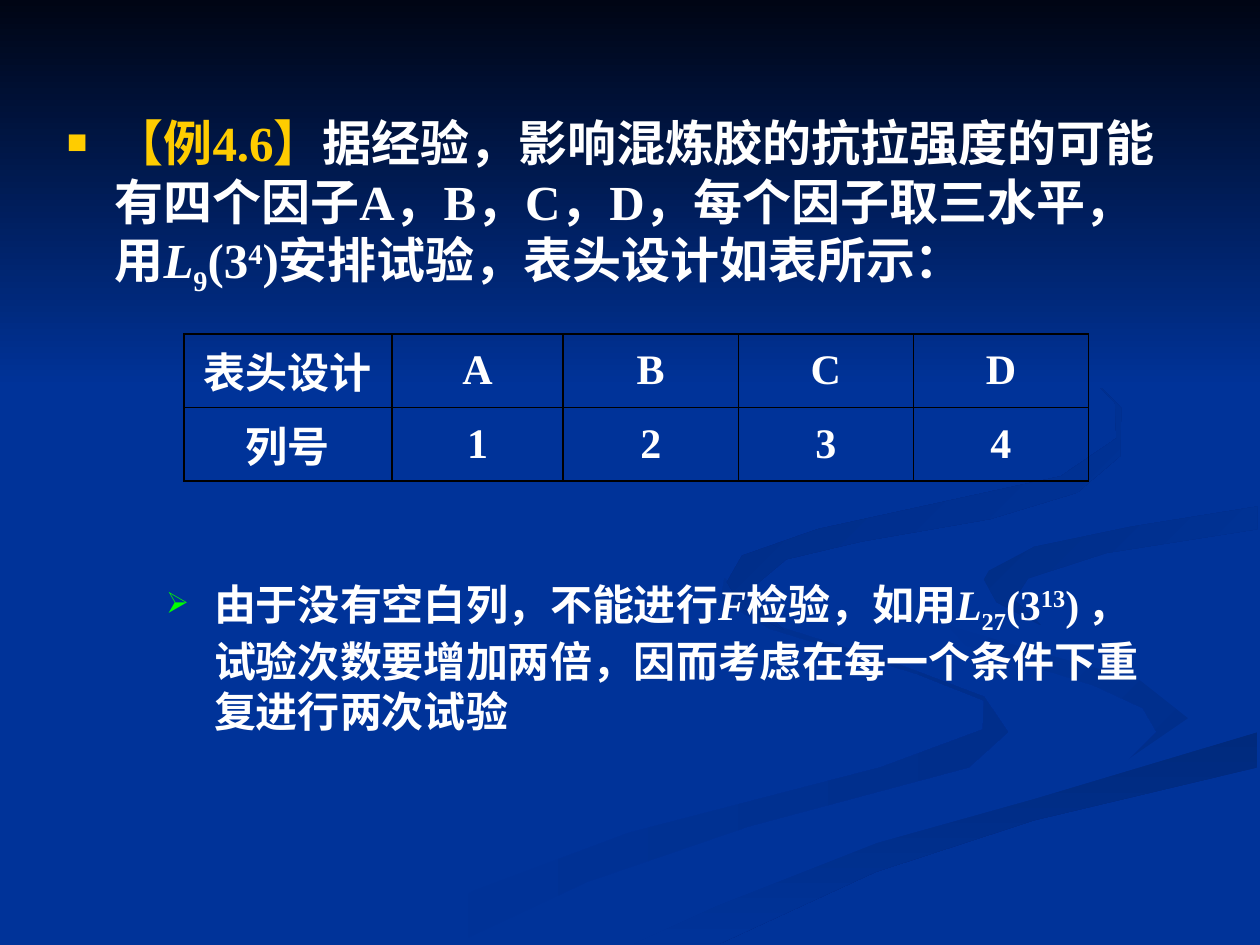
import pptx
import pptx.util
import pptx.dml.color
import pptx.enum.shapes
import pptx.enum.text
import pptx.oxml
import pptx.oxml.ns
import lxml.etree

Inches, Pt = pptx.util.Inches, pptx.util.Pt
hex_color = pptx.dml.color.RGBColor.from_string
qn = pptx.oxml.ns.qn
BLUE, WHITE, GOLD = "003399", "FFFFFF", "FFCC00"


def write_spans(para, spans, size):
    """Fill a paragraph from (text, format values) pairs."""
    for text, changes in spans:
        span = para.add_run()
        span.text = text
        values = {"name": "Times New Roman", "size": size, "bold": True, "color": WHITE, **changes}
        span.font.fill.solid()
        span.font.fill.fore_color.rgb = hex_color(values.pop("color"))
        baseline = values.pop("baseline", None)
        for name, value in values.items():
            setattr(span.font, name, Pt(value) if name == "size" else value)
        properties = span.font._element
        properties.set("lang", "zh-CN")
        if baseline:
            properties.set("baseline", str(baseline * 1000))


def write_bullet(box, place, char, color, spans, size):
    """Place a box and write its single bulleted paragraph."""
    for name, value in zip(("left", "top", "width", "height"), place):
        setattr(box, name, Inches(value))
    frame = box.text_frame
    frame.word_wrap = True
    frame.auto_size = pptx.enum.text.MSO_AUTO_SIZE.NONE
    frame.vertical_anchor = pptx.enum.text.MSO_ANCHOR.TOP
    para = frame.paragraphs[0]
    properties = para._p.get_or_add_pPr()
    properties.set("marL", str(Inches(0.38)))
    properties.set("indent", str(-Inches(0.38)))
    bullet_color = lxml.etree.SubElement(properties, qn("a:buClr"))
    lxml.etree.SubElement(bullet_color, qn("a:srgbClr"), val=color)
    lxml.etree.SubElement(properties, qn("a:buSzPct"), val="70000")
    lxml.etree.SubElement(properties, qn("a:buChar"), char=char)
    para.space_before = Pt(0)
    write_spans(para, spans, size)


deck = pptx.Presentation()
deck.slide_width, deck.slide_height = Inches(10), Inches(7.5)
page = deck.slides.add_slide(deck.slide_layouts[1])
title = page.shapes.title
title._element.getparent().remove(title._element)
page.background.fill.solid()
page.background.fill.fore_color.rgb = hex_color(BLUE)

# Edges shared by neighbouring ribbons, in hundredths of an inch
hook_edge = [(724, 464), (733, 483), (758, 498), (830, 519), (905, 540), (943, 570)]
sweep_edge = [(503, 749), (569, 719), (696, 669), (821, 634), (998, 581)]
crest_edge = [(998, 402), (898, 418), (821, 434), (785, 453), (781, 460)]

# Ribbon outlines
tail = [(781, 553), (715, 528), (614, 496), (575, 459), (572, 476), (611, 499), (728, 535),
        (781, 556), (780, 579), (699, 609), (499, 661), (376, 707), (300, 749), (361, 749),
        (466, 700), (594, 656), (769, 609), (800, 581)]
hook = hook_edge + [(941, 581), (894, 605), (918, 581), (907, 562), (868, 544), (766, 512)]
sweep = sweep_edge + [(998, 609), (821, 651), (695, 692), (571, 749)]
stream = (hook_edge + [(892, 605), (780, 634), (663, 668), (573, 703), (477, 749)]
          + sweep_edge + [(999, 538), (904, 519), (817, 492)]
          + crest_edge[::-1] + [(999, 387), (920, 401), (788, 422), (732, 446)])
crest = crest_edge + [(791, 478), (826, 496), (805, 476), (816, 459), (878, 439), (998, 420)]
curl = [(683, 430), (786, 412), (855, 391), (889, 362), (890, 324), (843, 275), (762, 233),
        (846, 279), (885, 320), (886, 348), (842, 378), (649, 420), (589, 441), (577, 462),
        (590, 484), (622, 500), (593, 470), (624, 444)]

# Ribbons and top band, with start colour, end colour and clockwise angle
backdrop = []
for points, *shading in [
        (tail, BLUE, "002E8B", 0), (hook, BLUE, "002E8B", 45), (sweep, "002A7D", BLUE, 90),
        (stream, BLUE, BLUE, 0), (crest, "002D86", BLUE, 45), (curl, "002B82", BLUE, 45)]:
    outline = page.shapes.build_freeform(*points[0], scale=Inches(0.01))
    outline.add_line_segments(points[1:], close=True)
    backdrop.append((outline.convert_to_shape(), *shading))
band = page.shapes.add_shape(
    pptx.enum.shapes.MSO_SHAPE.RECTANGLE, 0, 0, deck.slide_width, Inches(3.08))
backdrop.append((band, "000514", BLUE, 90))
for shape, start_color, end_color, angle in backdrop:
    shape.shadow.inherit = False
    shape.line.fill.background()
    shape.fill.gradient()
    shape.fill.gradient_angle = -angle % 360
    for stop, color in zip(shape.fill.gradient_stops, (start_color, end_color)):
        stop.color.rgb = hex_color(color)

# Example statement, brought in front of the ribbons
italic, lowered, raised = {"italic": True}, {"baseline": -25}, {"baseline": 30}
body = page.placeholders[1]
page.shapes._spTree.append(body._element)
write_bullet(body, (0.43, 0.84, 8.99, 1.53), "■", GOLD, [
    ("【例4.6】", {"color": GOLD}),
    ("据经验，影响混炼胶的抗拉强度的可能有四个因子A，B，C，D，每个因子取三水平，用", {}),
    ("L", italic), ("9", lowered), ("(3", {}), ("4", raised),
    (")安排试验，表头设计如表所示：", {})], 28)

# Column assignment table
rows = [["表头设计", "A", "B", "C", "D"], ["列号", "1", "2", "3", "4"]]
table = page.shapes.add_table(2, 5, Inches(1.46), Inches(2.65), Inches(7.18), Inches(1.16)).table
for column, width in zip(table.columns, (1.65, 1.36, 1.39, 1.39, 1.39)):
    column.width = Inches(width)
for row_index, labels in enumerate(rows):
    table.rows[row_index].height = Inches(0.58)
    for column_index, label in enumerate(labels):
        cell = table.cell(row_index, column_index)
        cell.vertical_anchor = pptx.enum.text.MSO_ANCHOR.MIDDLE
        para = cell.text_frame.paragraphs[0]
        para.alignment = pptx.enum.text.PP_ALIGN.CENTER
        write_spans(para, [(label, {})], 24)
        properties = cell._tc.get_or_add_tcPr()
        for side in ("lnL", "lnR", "lnT", "lnB"):
            border = lxml.etree.SubElement(properties, qn("a:" + side), w=str(Pt(1)))
            paint = lxml.etree.SubElement(border, qn("a:solidFill"))
            lxml.etree.SubElement(paint, qn("a:srgbClr"), val="000000")
        cell.fill.background()

# Remark below the table
place = (1.22, 4.54, 7.95, 1.26)
remark = page.shapes.add_textbox(*map(Inches, place))
write_bullet(remark, place, "➢", "00FF00", [
    ("由于没有空白列，不能进行", {}), ("F", italic), ("检验，如用", {}),
    ("L", italic), ("27", lowered), ("(3", {}), ("13", raised), (")", {}),
    (" ", {"size": 18, "bold": False}),
    ("，试验次数要增加两倍，因而考虑在每一个条件下重复进行两次试验", {})], 24)

deck.save("out.pptx")
